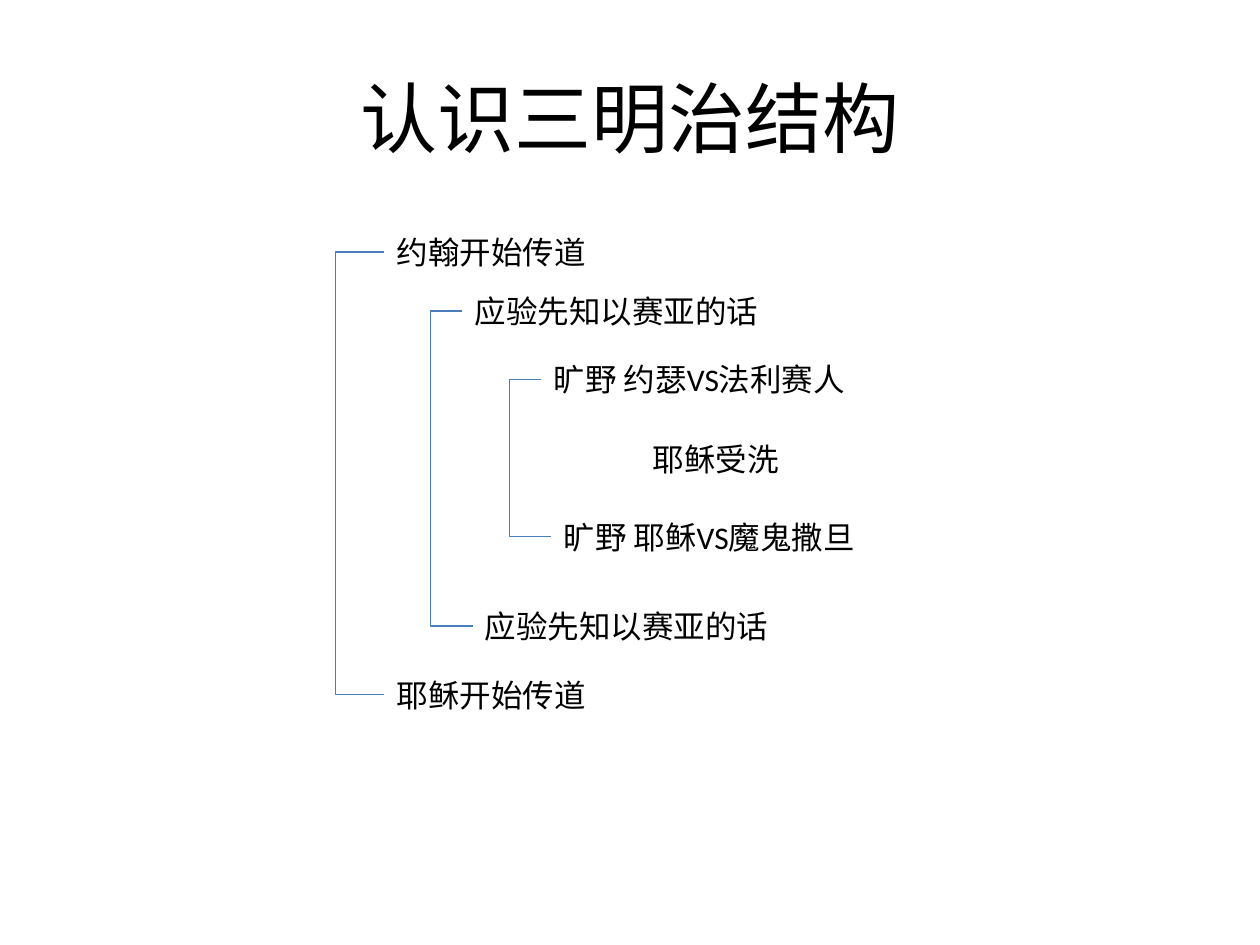
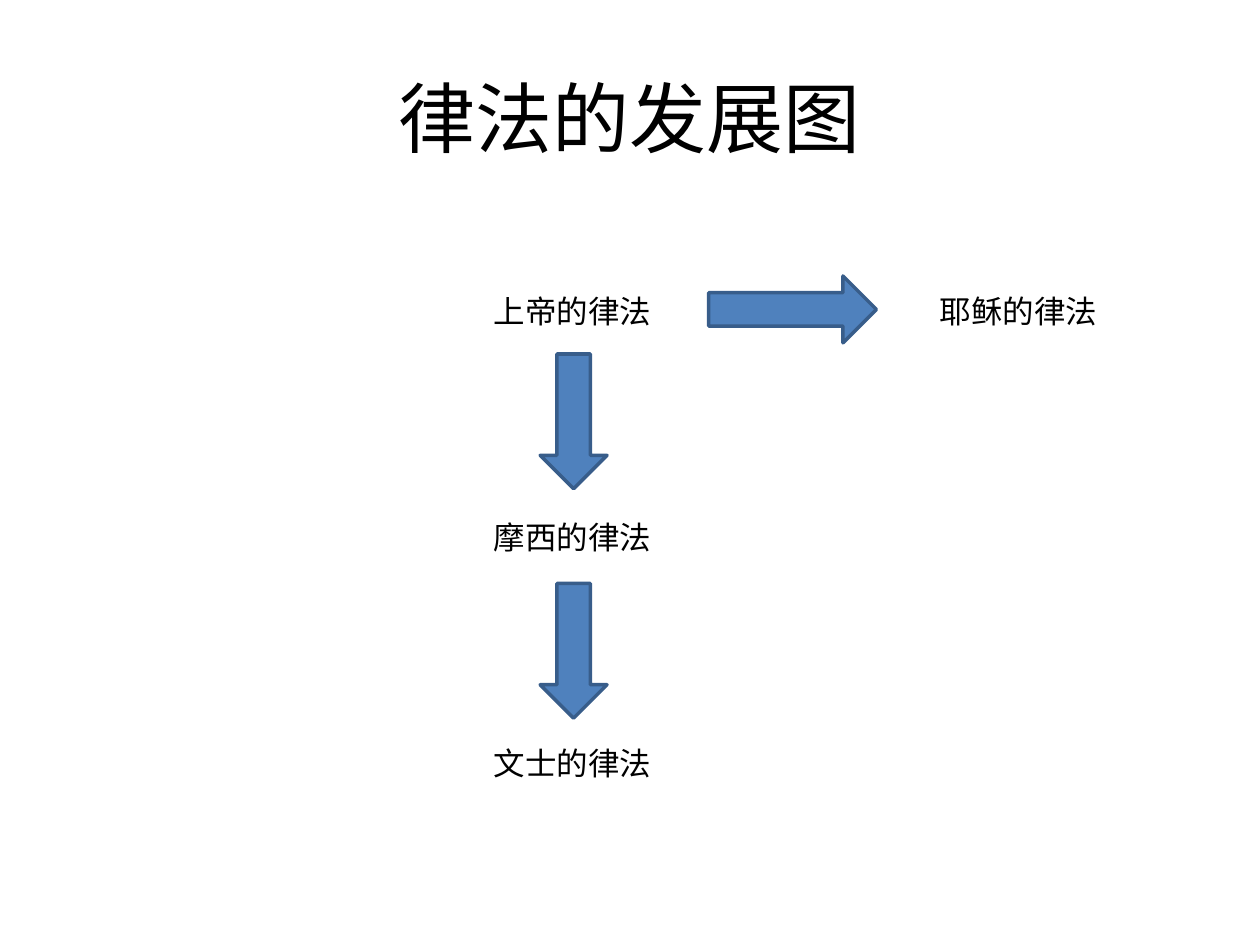
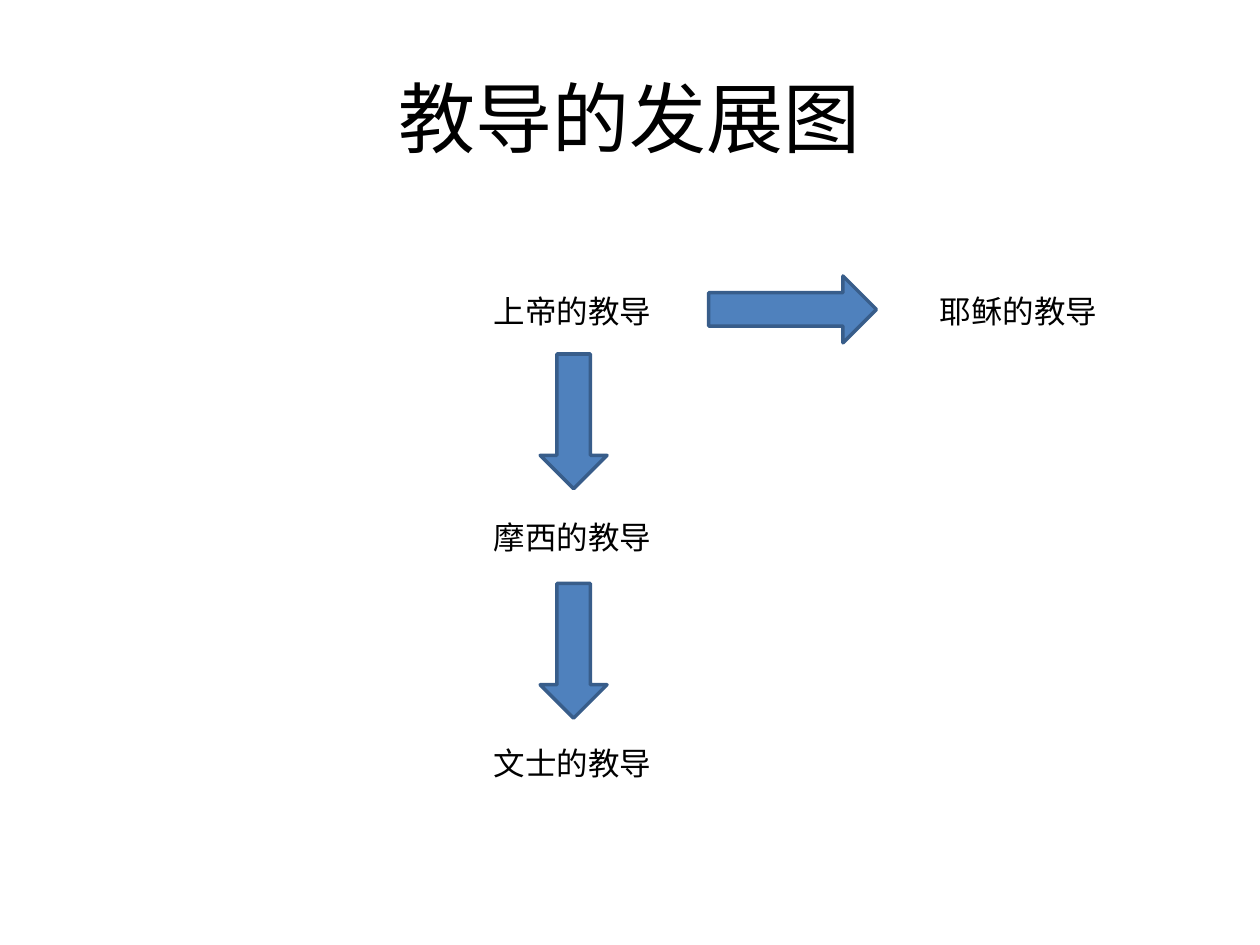
from lxml import etree
from pptx import Presentation
from pptx.dml.color import RGBColor
from pptx.enum.shapes import MSO_CONNECTOR, MSO_SHAPE
from pptx.enum.text import MSO_ANCHOR, MSO_AUTO_SIZE, PP_ALIGN
from pptx.oxml.ns import qn
from pptx.util import Pt

ELBOW = MSO_CONNECTOR.ELBOW
DOWN_ARROW = MSO_SHAPE.DOWN_ARROW
MIDDLE = MSO_ANCHOR.MIDDLE
FIT_SHAPE = MSO_AUTO_SIZE.SHAPE_TO_FIT_TEXT
LEFT, CENTER = PP_ALIGN.LEFT, PP_ALIGN.CENTER

# Shared style
FONT = "Calibri"
BLACK = RGBColor(0x00, 0x00, 0x00)
BRACKET_BLUE = RGBColor(0x4A, 0x7E, 0xBB)
ARROW_FILL = RGBColor(0x4F, 0x81, 0xBD)
ARROW_EDGE = RGBColor(0x38, 0x5D, 0x8A)
LABEL_HEIGHT = 28.8

# Sandwich layers, outermost first:
# spine x, then (text, left, top, width) of the opening and closing labels
LAYERS = [
    (195.1, ("约翰开始传道", 219.7, 129.6, 230.4),
            ("耶稣开始传道", 219.6, 382.6, 123.8)),
    (246.2, ("应验先知以赛亚的话", 264.2, 163.4, 191.5),
            ("应验先知以赛亚的话", 270, 343.4, 191.5)),
    (291, ("旷野 约瑟VS法利赛人", 309.4, 202.3, 191.5),
          ("旷野 耶稣VS魔鬼撒旦", 315, 292.3, 191.5)),
]
CORE = ("耶稣受洗", 365.8, 247.7, 118.1)

# Flow diagram grid
SOURCES = ["上帝", "摩西", "文士"]
FLOW_LEFT, FLOW_TOP, FLOW_STEP, FLOW_WIDTH = 257, 163.4, 129.2, 140.4
BRANCH_LEFT = 511.9
ARROW_WIDTH = 38.2


def add_text(page, text, left, top, width, height, size, align):
    box = page.shapes.add_textbox(Pt(left), Pt(top), Pt(width), Pt(height))
    frame = box.text_frame
    frame.word_wrap = True
    para = frame.paragraphs[0]
    para.text = text
    para.alignment = align
    para.font.name = FONT
    para.font.size = Pt(size)
    para.font.color.rgb = BLACK
    return frame


def add_page(deck, title):
    page = deck.slides.add_slide(deck.slide_layouts[6])
    frame = add_text(page, title, 36, 21.6, 648, 90, 44, CENTER)
    frame.vertical_anchor = MIDDLE
    return page


def add_label(page, text, left, top, width, align=LEFT):
    frame = add_text(page, text, left, top, width, LABEL_HEIGHT, 18, align)
    frame.auto_size = FIT_SHAPE


def add_bracket(page, spine, start_x, start_y, end_x, end_y):
    bracket = page.shapes.add_connector(
        ELBOW, Pt(start_x), Pt(start_y), Pt(end_x), Pt(end_y))
    bracket.line.color.rgb = BRACKET_BLUE
    bracket.line.width = Pt(0.75)
    properties = bracket._element.spPr
    etree.SubElement(properties, qn("a:effectLst"))
    # The bend is given as a share of the connector's width
    bend = round(100000 * (spine - start_x) / (end_x - start_x))
    guides = properties.find(qn("a:prstGeom")).find(qn("a:avLst"))
    etree.SubElement(guides, qn("a:gd"), name="adj1", fmla=f"val {bend}")


def add_arrow(page, left, top, length, rotation=0):
    arrow = page.shapes.add_shape(
        DOWN_ARROW, Pt(left), Pt(top), Pt(ARROW_WIDTH), Pt(length))
    arrow.rotation = rotation
    arrow.shadow.inherit = False
    arrow.fill.solid()
    arrow.fill.fore_color.rgb = ARROW_FILL
    arrow.line.color.rgb = ARROW_EDGE
    arrow.line.width = Pt(2)


def build_sandwich(deck):
    page = add_page(deck, "认识三明治结构")
    half = LABEL_HEIGHT / 2
    for spine, opening, closing in LAYERS:
        add_label(page, *opening)
        add_label(page, *closing)
        add_bracket(page, spine, opening[1], opening[2] + half,
                    closing[1], closing[2] + half)
    add_label(page, *CORE)


def build_flow(deck, topic):
    page = add_page(deck, f"{topic}的发展图")
    # Main line of descent
    for row, source in enumerate(SOURCES):
        add_label(page, f"{source}的{topic}", FLOW_LEFT,
                  FLOW_TOP + row * FLOW_STEP, FLOW_WIDTH, CENTER)
    for top in (202.3, 333.4):
        add_arrow(page, 308.7, top, 77)
    # Side branch
    add_label(page, f"耶稣的{topic}", BRANCH_LEFT, FLOW_TOP, FLOW_WIDTH, CENTER)
    add_arrow(page, 433.8, 128.9, 95.8, 270)


def main():
    deck = Presentation()
    deck.slide_width, deck.slide_height = Pt(720), Pt(540)
    build_sandwich(deck)
    for topic in ("律法", "教导"):
        build_flow(deck, topic)
    deck.save("out.pptx")


if __name__ == "__main__":
    main()
